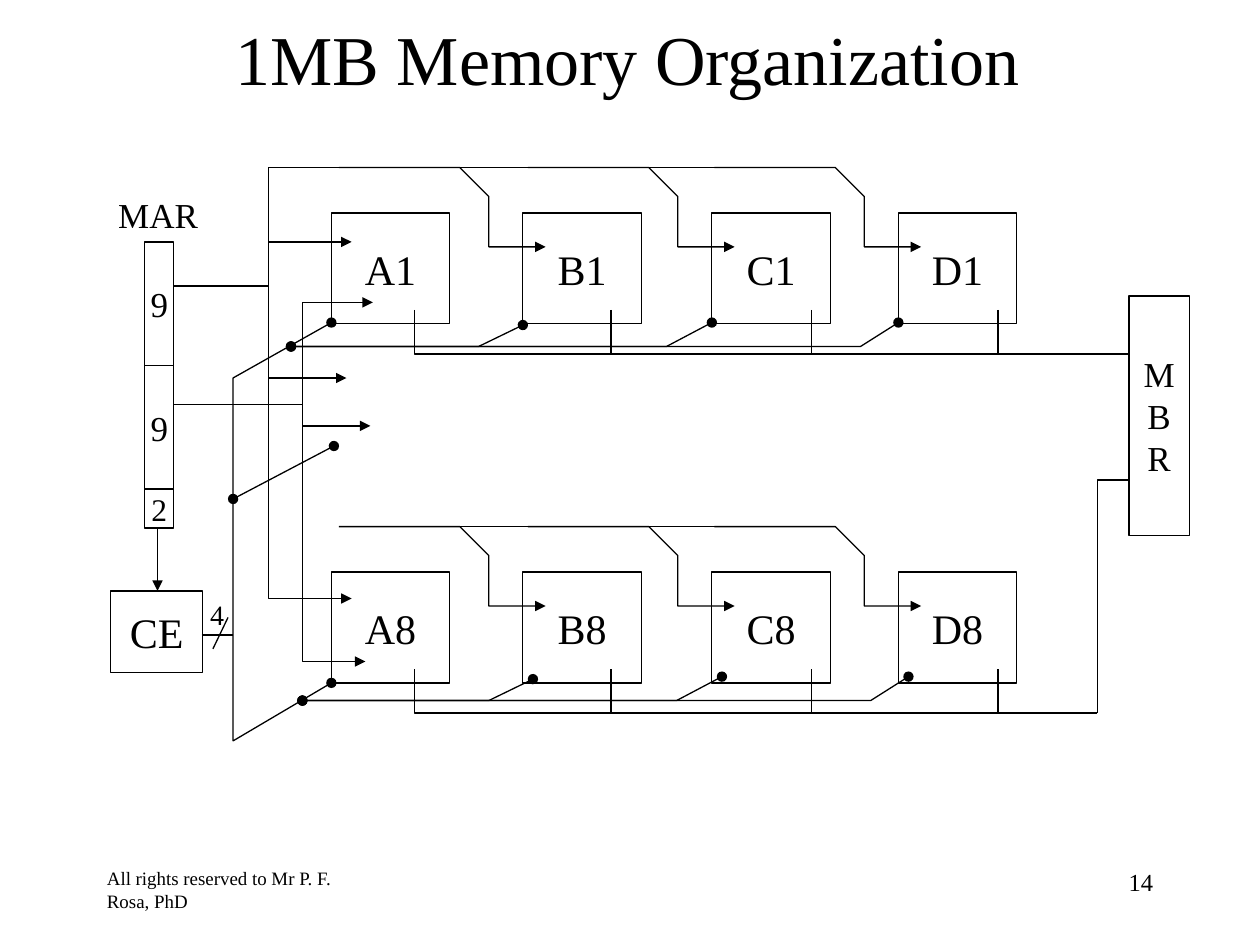
from lxml.etree import SubElement
from pptx import Presentation
from pptx.dml.color import RGBColor
from pptx.enum.shapes import MSO_CONNECTOR, MSO_SHAPE
from pptx.enum.text import MSO_ANCHOR, PP_ALIGN
from pptx.oxml.ns import qn
from pptx.util import Inches, Pt

BLACK = RGBColor(0x00, 0x00, 0x00)
WHITE = RGBColor(0xFF, 0xFF, 0xFF)
FONT = "Times New Roman"

CHIP_LEFTS = {"A": 2.63, "B": 4.15, "C": 5.65, "D": 7.13}
DATA_XS = (4.85, 6.44, 7.92)
SELECT_ENDS = ((0.35, 0.17), (0.36, 0.19), (0.30, 0.19))
BANK_STEP = 2.85


def apply_format(target, values):
    for name, value in values.items():
        setattr(target, name, value)


def write_text(shape, text, size, align=PP_ALIGN.LEFT, **frame_format):
    frame = shape.text_frame
    frame.text = text
    apply_format(frame, frame_format)
    for para in frame.paragraphs:
        para.alignment = align
        for span in para.runs:
            apply_format(span.font, {"name": FONT, "size": Pt(size)})
            span.font.color.rgb = BLACK


def draw_outline(shape):
    shape.line.color.rgb = BLACK
    shape.line.width = Pt(0.75)


def add_title(page, text):
    title = page.shapes.title
    apply_format(title, {"left": Inches(0.73), "top": Inches(0),
                         "width": Inches(8.5), "height": Inches(0.92)})
    write_text(title, text, 40, PP_ALIGN.CENTER, vertical_anchor=MSO_ANCHOR.MIDDLE)


def add_label(page, place, text, size, align=PP_ALIGN.LEFT):
    box = page.shapes.add_textbox(*map(Inches, place))
    write_text(box, text, size, align, word_wrap=True)


def add_block(page, place, text, size, fill=None):
    block = page.shapes.add_shape(MSO_SHAPE.RECTANGLE, *map(Inches, place))
    block.shadow.inherit = False
    if fill is None:
        block.fill.background()
    else:
        block.fill.solid()
        block.fill.fore_color.rgb = fill
    draw_outline(block)
    write_text(block, text, size, PP_ALIGN.CENTER,
               vertical_anchor=MSO_ANCHOR.MIDDLE, word_wrap=False)


def add_wire(page, *points, head=None, tail=None):
    corners = [(Inches(x), Inches(y)) for x, y in points]
    if len(corners) == 2:
        wire = page.shapes.add_connector(MSO_CONNECTOR.STRAIGHT, *corners[0], *corners[1])
        draw_outline(wire)
        SubElement(wire.element.spPr, qn("a:effectLst"))
    else:
        builder = page.shapes.build_freeform(*corners[0])
        builder.add_line_segments(corners[1:], close=False)
        wire = builder.convert_to_shape()
        wire.shadow.inherit = False
        wire.fill.background()
        draw_outline(wire)
    outline = wire.element.spPr.find(qn("a:ln"))
    for tag, kind in (("a:headEnd", head), ("a:tailEnd", tail)):
        if kind:
            SubElement(outline, qn(tag), type=kind)


def add_bank(page, number, shift):
    rail, feed = 1.33 + shift, 1.96 + shift
    data_top, data_bus = 2.46 + shift, 2.81 + shift
    for letter, left in CHIP_LEFTS.items():
        add_block(page, (left, 1.69 + shift, 0.94, 0.88), f"{letter}{number}", 24)
        if letter != "A":
            bend = left - 0.27
            add_wire(page, (left - 1.46, rail), (left - 0.5, rail), (bend, rail + 0.23),
                     (bend, feed), (left + 0.18, feed), tail="triangle")
        if letter in "CD":
            add_wire(page, (left - 1.07, rail), (left - 2.3, rail))
    add_wire(page, (3.29, data_top), (3.29, data_bus), (8.71, data_bus))
    for x in DATA_XS:
        add_wire(page, (x, data_top), (x, data_bus))


def add_chip_selects(page, start, level, shift):
    lefts = list(CHIP_LEFTS.values())[1:]
    for left, (run, rise) in zip(lefts, SELECT_ENDS):
        end = left + shift
        add_wire(page, (start, level), (end - run, level), (end, level - rise),
                 head="oval", tail="oval")


def add_address_register(page):
    add_label(page, (0.84, 1.49, 1, 0.44), "MAR", 20)
    for top, height, bits, size in ((1.92, 0.98, "9", 20), (2.9, 0.98, "9", 20),
                                    (3.88, 0.31, "2", 18)):
        add_block(page, (1.15, top, 0.23, height), bits, size)


def add_address_wires(page):
    add_wire(page, (1.38, 2.27), (2.13, 2.27))
    add_wire(page, (1.38, 3.21), (2.4, 3.21))
    add_wire(page, (2.81, 1.33), (2.13, 1.33), (2.13, 4.75), (2.79, 4.75), tail="triangle")
    add_wire(page, (2.96, 2.4), (2.4, 2.4), (2.4, 5.25), (2.9, 5.25),
             head="triangle", tail="triangle")
    for start, end, y in ((2.13, 2.79, 1.92), (2.13, 2.75, 3), (2.4, 2.94, 3.38)):
        add_wire(page, (start, y), (end, y), tail="triangle")


def add_chip_enable(page):
    add_block(page, (0.88, 4.69, 0.73, 0.65), "CE", 24)
    add_wire(page, (1.25, 4.19), (1.25, 4.69), tail="triangle")
    add_wire(page, (1.6, 5.04), (1.85, 5.04))
    add_wire(page, (1.81, 4.9), (1.69, 5.15))
    add_label(page, (1.57, 4.69, 0.35, 0.37), "4", 16)
    add_wire(page, (2.63, 2.56), (1.85, 3), (1.85, 5.88), (2.63, 5.42),
             head="oval", tail="oval")
    add_wire(page, (1.85, 3.96), (2.65, 3.54), head="oval", tail="oval")
    add_chip_selects(page, 2.31, 2.75, 0)
    add_chip_selects(page, 2.4, 5.56, 0.08)


def add_buffer_register(page):
    add_wire(page, (8.71, 5.66), (8.71, 3.81), (9.15, 3.81))
    add_wire(page, (8.69, 2.81), (9.1, 2.81))
    add_block(page, (8.96, 2.35, 0.48, 1.9), "M\nB\nR", 20, WHITE)


def main():
    deck = Presentation()
    apply_format(deck, {"slide_width": Inches(10), "slide_height": Inches(7.5)})
    page = deck.slides.add_slide(deck.slide_layouts[5])
    add_title(page, "1MB Memory Organization")
    add_label(page, (0.75, 6.83, 2.08, 0.5), "All rights reserved to Mr P. F. Rosa, PhD", 10.8)
    add_label(page, (7.17, 6.83, 2.08, 0.5), "14", 14, PP_ALIGN.RIGHT)
    add_address_register(page)
    add_bank(page, 1, 0)
    add_bank(page, 8, BANK_STEP)
    add_address_wires(page)
    add_chip_enable(page)
    add_buffer_register(page)
    deck.save("out.pptx")


if __name__ == "__main__":
    main()
